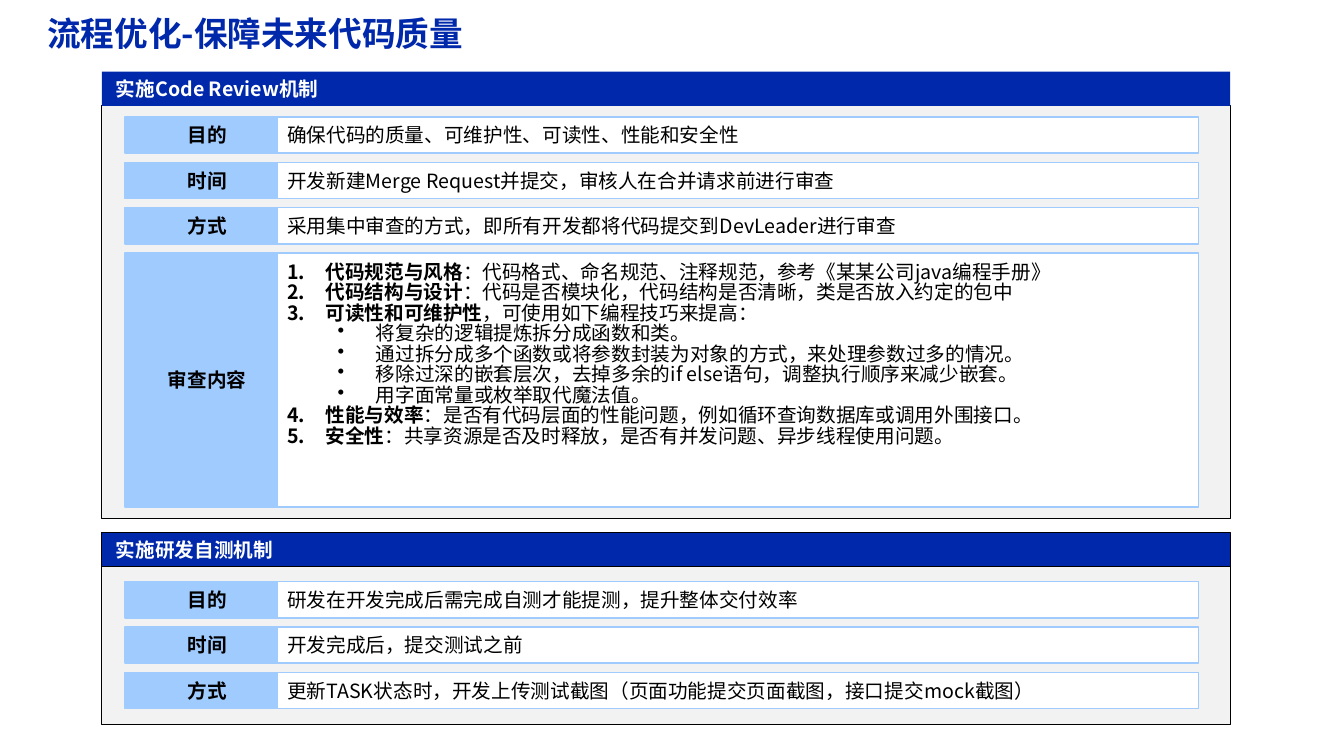
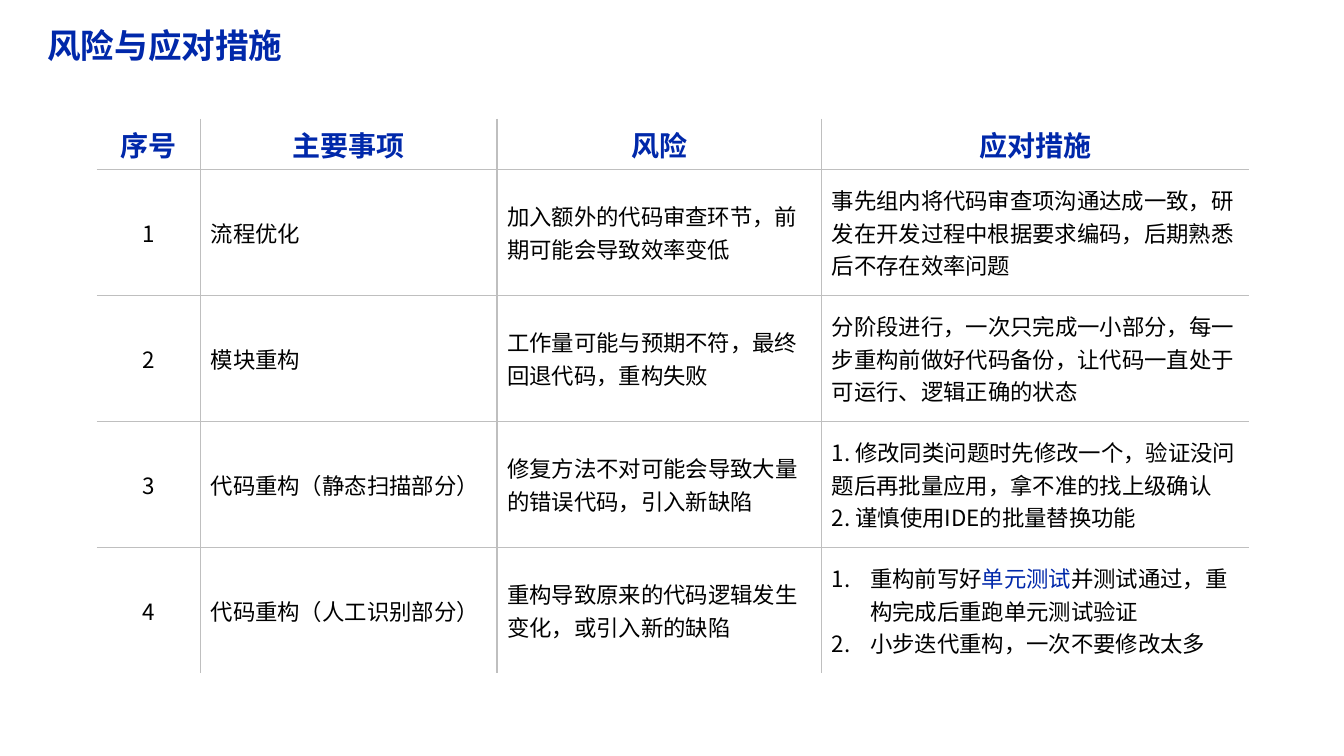
from typing import NamedTuple

from lxml.etree import SubElement
from pptx import Presentation
from pptx.dml.color import RGBColor
from pptx.enum.shapes import MSO_SHAPE
from pptx.enum.text import MSO_ANCHOR, PP_ALIGN
from pptx.oxml.ns import qn
from pptx.util import Pt

PX = 9144
FONT = "Noto Sans CJK SC"
NAVY = RGBColor(0x00, 0x28, 0xAA)
SKY = RGBColor(0xA0, 0xCB, 0xFF)
PALE = RGBColor(0xF2, 0xF2, 0xF2)
RULE = RGBColor(0xBF, 0xBF, 0xBF)
BLACK = RGBColor(0x00, 0x00, 0x00)
WHITE = RGBColor(0xFF, 0xFF, 0xFF)


class Run(NamedTuple):
    text: str
    bold: bool = False
    color: RGBColor = BLACK


class Item(NamedTuple):
    runs: list
    numbered: bool = True
    level: int = 0


def topic(lead, rest):
    return Item([Run(lead, bold=True), Run(rest)])


def tip(text):
    return Item([Run(text)], numbered=False, level=1)


def write(frame, paragraphs, size=14, color=BLACK, bold=False,
          align=PP_ALIGN.LEFT, spacing=None):
    for index, content in enumerate(paragraphs):
        paragraph = frame.add_paragraph() if index else frame.paragraphs[0]
        paragraph.alignment = align
        if spacing:
            paragraph.line_spacing = spacing
        runs = [Run(content, bold, color)]
        if isinstance(content, Item):
            runs = content.runs
            add_marker(paragraph, content)
        for part in runs:
            run = paragraph.add_run()
            run.text = part.text
            font = run.font
            font.name, font.size, font.bold = FONT, Pt(size), part.bold
            font.color.rgb = part.color
            SubElement(run._r.get_or_add_rPr(), qn("a:ea"), typeface=FONT)


def add_marker(paragraph, item):
    paragraph.level = item.level
    props = paragraph._p.get_or_add_pPr()
    props.set("marL", str((38 + 50 * item.level) * PX))
    props.set("indent", str(-38 * PX))
    if item.numbered:
        SubElement(props, qn("a:buAutoNum"), type="arabicPeriod")
    else:
        SubElement(props, qn("a:buChar"), char="•")


def set_borders(cell, sides):
    props = cell._tc.get_or_add_tcPr()
    for side, visible in sides.items():
        line = SubElement(props, qn("a:ln" + side), w=str(Pt(1)))
        if visible:
            fill = SubElement(line, qn("a:solidFill"))
            SubElement(fill, qn("a:srgbClr"), val=str(RULE))
        else:
            SubElement(line, qn("a:noFill"))


class Deck:
    panel_left, panel_width = 101, 1119
    label_left, label_width = 124, 163
    detail_left, detail_width = 275, 914
    band_height, row_height, row_gap = 34, 36, 9

    def __init__(self):
        self.presentation = Presentation()
        self.presentation.slide_width = 1333 * PX
        self.presentation.slide_height = 750 * PX
        self.slide = None

    def start(self, title, top):
        blank = self.presentation.slide_layouts[6]
        self.slide = self.presentation.slides.add_slide(blank)
        box = self.slide.shapes.add_textbox(37 * PX, top * PX, 788 * PX, 50 * PX)
        frame = self.fit(box, 10, 0)
        write(frame, [title], size=24, color=NAVY, bold=True)

    def fit(self, shape, side, end, anchor=MSO_ANCHOR.MIDDLE):
        frame = shape.text_frame
        frame.word_wrap = True
        frame.vertical_anchor = anchor
        frame.margin_left = frame.margin_right = side * PX
        frame.margin_top = frame.margin_bottom = end * PX
        return frame

    def box(self, left, top, width, height, fill, line=None, weight=1):
        shape = self.slide.shapes.add_shape(
            MSO_SHAPE.RECTANGLE, left * PX, top * PX, width * PX, height * PX)
        shape.shadow.inherit = False
        shape.fill.solid()
        shape.fill.fore_color.rgb = fill
        if line is None:
            shape.line.fill.background()
        else:
            shape.line.color.rgb = line
            shape.line.width = Pt(weight)
        return shape

    def panel(self, heading, top, height, band_line=None):
        self.box(self.panel_left, top + self.band_height, self.panel_width,
                 height - self.band_height, PALE, BLACK, 0.5)
        band = self.box(self.panel_left, top, self.panel_width,
                        self.band_height, NAVY, band_line, 0.75)
        write(self.fit(band, 14, 0), [heading], color=WHITE, bold=True)

    def rows(self, top, entries):
        for label, detail in entries:
            self.row(top, self.row_height, label, [detail])
            top += self.row_height + self.row_gap
        return top

    def row(self, top, height, label, details, end=0,
            anchor=MSO_ANCHOR.MIDDLE, spacing=None):
        name = self.box(self.label_left, top, self.label_width, height, SKY, SKY)
        write(self.fit(name, 10, 0), [label], bold=True, align=PP_ALIGN.CENTER)
        body = self.box(self.detail_left, top, self.detail_width, height, WHITE, SKY)
        write(self.fit(body, 10, end, anchor), details, spacing=spacing)

    def table(self, left, top, widths, heights, records):
        table = self.slide.shapes.add_table(
            len(heights), len(widths), left * PX, top * PX,
            sum(widths) * PX, sum(heights) * PX).table
        table.first_row = table.horz_banding = False
        for column, width in zip(table.columns, widths):
            column.width = width * PX
        for row, height in zip(table.rows, heights):
            row.height = height * PX
        last_row, last_column = len(heights) - 1, len(widths) - 1
        for r, record in enumerate(records):
            for c, content in enumerate(record):
                cell = table.cell(r, c)
                set_borders(cell, {"L": c > 0, "R": c < last_column,
                                   "T": r > 0, "B": r < last_row})
                cell.fill.solid()
                cell.fill.fore_color.rgb = WHITE
                cell.vertical_anchor = MSO_ANCHOR.MIDDLE
                heading = r == 0
                centred = heading or c == 0
                write(cell.text_frame,
                      content if isinstance(content, list) else [content],
                      size=20 if heading else 16,
                      color=NAVY if heading else BLACK, bold=heading,
                      align=PP_ALIGN.CENTER if centred else PP_ALIGN.LEFT)


REVIEW_ROWS = [
    ("目的", "确保代码的质量、可维护性、可读性、性能和安全性"),
    ("时间", "开发新建Merge Request并提交，审核人在合并请求前进行审查"),
    ("方式", "采用集中审查的方式，即所有开发都将代码提交到DevLeader进行审查"),
]
REVIEW_TOPICS = [
    topic("代码规范与风格", "：代码格式、命名规范、注释规范，参考《某某公司java编程手册》"),
    topic("代码结构与设计", "：代码是否模块化，代码结构是否清晰，类是否放入约定的包中"),
    topic("可读性和可维护性", "，可使用如下编程技巧来提高："),
    tip("将复杂的逻辑提炼拆分成函数和类。"),
    tip("通过拆分成多个函数或将参数封装为对象的方式，来处理参数过多的情况。"),
    tip("移除过深的嵌套层次，去掉多余的if else语句，调整执行顺序来减少嵌套。"),
    tip("用字面常量或枚举取代魔法值。"),
    topic("性能与效率", "：是否有代码层面的性能问题，例如循环查询数据库或调用外围接口。"),
    topic("安全性", "：共享资源是否及时释放，是否有并发问题、异步线程使用问题。"),
]
SELF_TEST_ROWS = [
    ("目的", "研发在开发完成后需完成自测才能提测，提升整体交付效率"),
    ("时间", "开发完成后，提交测试之前"),
    ("方式", "更新TASK状态时，开发上传测试截图（页面功能提交页面截图，接口提交mock截图）"),
]
RISKS = [
    ("序号", "主要事项", "风险", "应对措施"),
    ("1", "流程优化", "加入额外的代码审查环节，前期可能会导致效率变低",
     "事先组内将代码审查项沟通达成一致，研发在开发过程中根据要求编码，后期熟悉后不存在效率问题"),
    ("2", "模块重构", "工作量可能与预期不符，最终回退代码，重构失败",
     "分阶段进行，一次只完成一小部分，每一步重构前做好代码备份，让代码一直处于可运行、逻辑正确的状态"),
    ("3", "代码重构（静态扫描部分）", "修复方法不对可能会导致大量的错误代码，引入新缺陷",
     ["1. 修改同类问题时先修改一个，验证没问题后再批量应用，拿不准的找上级确认",
      "2. 谨慎使用IDE的批量替换功能"]),
    ("4", "代码重构（人工识别部分）", "重构导致原来的代码逻辑发生变化，或引入新的缺陷",
     [Item([Run("重构前写好"), Run("单元测试", color=NAVY),
            Run("并测试通过，重构完成后重跑单元测试验证")]),
      Item([Run("小步迭代重构，一次不要修改太多")])]),
]


def main():
    deck = Deck()

    deck.start("流程优化-保障未来代码质量", 8)
    deck.panel("实施Code Review机制", 71, 443)
    topics_top = deck.rows(116, REVIEW_ROWS)
    deck.row(topics_top, 252, "审查内容", REVIEW_TOPICS, end=10,
             anchor=MSO_ANCHOR.TOP, spacing=0.87)
    deck.panel("实施研发自测机制", 528, 191, band_line=BLACK)
    deck.rows(577, SELF_TEST_ROWS)

    deck.start("风险与应对措施", 20)
    deck.table(96, 118, [103, 294, 322, 424], [50] + [125] * 4, RISKS)

    deck.presentation.save("out.pptx")


if __name__ == "__main__":
    main()
